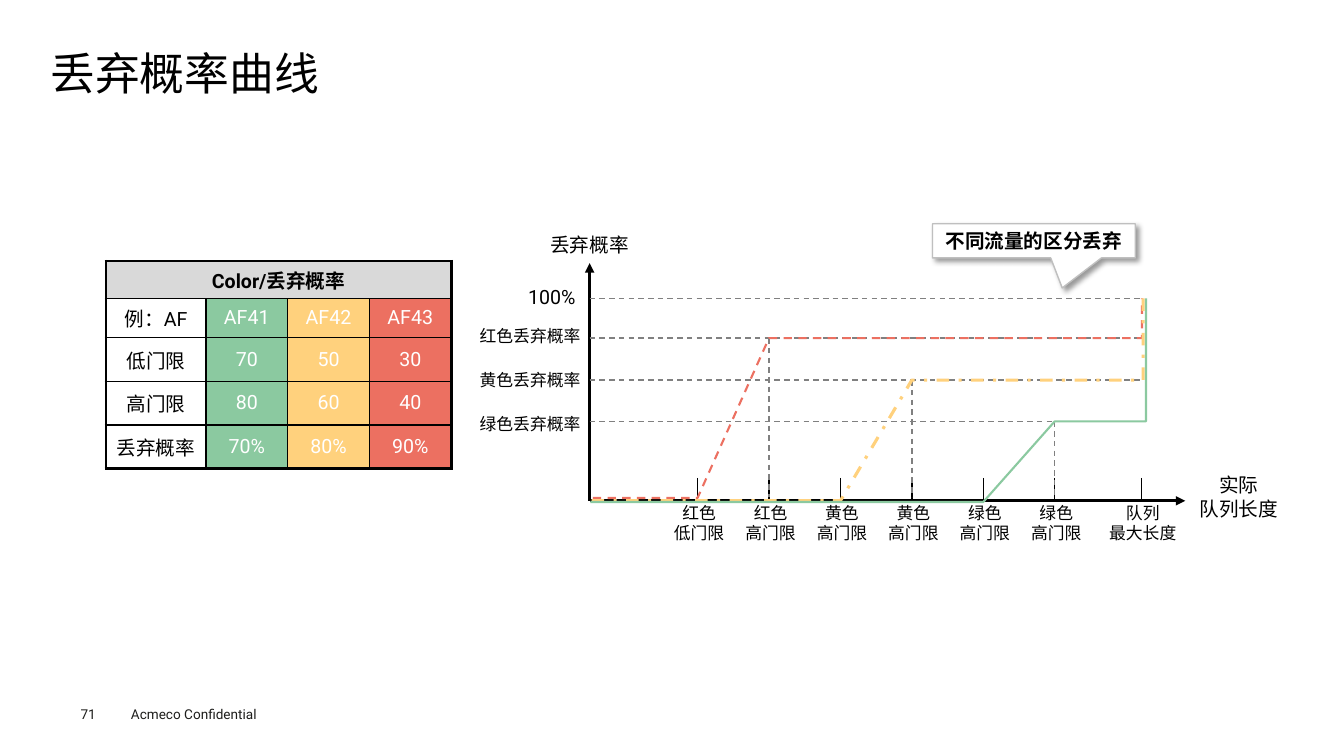
from lxml.etree import SubElement
from pptx import Presentation
from pptx.dml.color import RGBColor
from pptx.enum.dml import MSO_LINE
from pptx.enum.shapes import MSO_CONNECTOR, MSO_SHAPE
from pptx.enum.text import MSO_ANCHOR, PP_ALIGN
from pptx.oxml import parse_xml
from pptx.oxml.ns import nsdecls, qn
from pptx.util import Cm, Pt

BLACK = RGBColor(0x00, 0x00, 0x00)
WHITE = RGBColor(0xFF, 0xFF, 0xFF)
INK = RGBColor(0x1D, 0x1D, 0x1B)
GREY = RGBColor(0x80, 0x80, 0x80)
SILVER = RGBColor(0xBF, 0xBF, 0xBF)
HEADER = RGBColor(0xD9, 0xD9, 0xD9)
GREEN = RGBColor(0x8B, 0xC9, 0xA0)
YELLOW = RGBColor(0xFF, 0xD1, 0x7D)
RED = RGBColor(0xEC, 0x70, 0x61)


def set_text(tf, text, size, color=BLACK, bold=False, align=PP_ALIGN.CENTER):
    """Fill a text frame without insets, one paragraph per line of text."""
    tf.word_wrap = True
    tf.vertical_anchor = MSO_ANCHOR.MIDDLE
    tf.margin_left = tf.margin_right = tf.margin_top = tf.margin_bottom = 0
    tf.text = text
    for p in tf.paragraphs:
        p.alignment = align
        p.font.name = "Roboto"
        p.font.size = Pt(size)
        p.font.bold = bold
        p.font.color.rgb = color


def add_line(x1, y1, x2, y2, color=BLACK, width=1, dash=None):
    line = s.shapes.add_connector(MSO_CONNECTOR.STRAIGHT, Cm(x1), Cm(y1), Cm(x2), Cm(y2))
    line.line.color.rgb = color
    line.line.width = Pt(width)
    line.line.dash_style = dash
    SubElement(line._element.spPr, qn("a:effectLst"))
    return line


prs = Presentation()
prs.slide_width, prs.slide_height = Cm(33.87), Cm(19.05)
s = prs.slides.add_slide(prs.slide_layouts[5])

# Title and footer
title = s.shapes.title
title.left, title.top, title.width, title.height = Cm(1.27), Cm(1.24), Cm(31.27), Cm(1.35)
set_text(title.text_frame, "丢弃概率曲线", 32, align=PP_ALIGN.LEFT)
title.text_frame.paragraphs[0].line_spacing = 0.9

for text, left, width in [("71", 2.03, 1.2), ("Acmeco Confidential", 3.3, 4.5)]:
    box = s.shapes.add_textbox(Cm(left), Cm(17.78), Cm(width), Cm(0.41))
    set_text(box.text_frame, text, 9.7, INK, align=PP_ALIGN.LEFT)

# Threshold table
rows = [
    ["Color/丢弃概率", "", "", ""],
    ["例：AF", "AF41", "AF42", "AF43"],
    ["低门限", "70", "50", "30"],
    ["高门限", "80", "60", "40"],
    ["丢弃概率", "70%", "80%", "90%"],
]
col_widths = [2.52, 2.06, 2.06, 2.06]
row_heights = [0.95, 0.98, 1.1, 1.1, 1.1]
table = s.shapes.add_table(5, 4, Cm(2.67), Cm(6.58), Cm(sum(col_widths)),
                           Cm(sum(row_heights))).table
table.first_row = table.horz_banding = False
for col, width in zip(table.columns, col_widths):
    col.width = Cm(width)
for row, height in zip(table.rows, row_heights):
    row.height = Cm(height)
table.cell(0, 0).merge(table.cell(0, 3))

for i, row in enumerate(rows):
    for j, text in enumerate(row):
        cell = table.cell(i, j)
        outer_edges = {"L": j == 0 or i == 0, "R": j == 3 or i == 0, "T": i == 0, "B": i == 4}
        for side, outer in outer_edges.items():
            cell._tc.get_or_add_tcPr().append(parse_xml(
                f'<a:ln{side} {nsdecls("a")} w="{Pt(2.25 if outer else 1)}">'
                f'<a:solidFill><a:srgbClr val="{BLACK}"/></a:solidFill></a:ln{side}>'))
        fill = HEADER if i == 0 else [None, GREEN, YELLOW, RED][j]
        if fill:
            cell.fill.solid()
            cell.fill.fore_color.rgb = fill
        else:
            cell.fill.background()
        if text:
            set_text(cell.text_frame, text, 14, BLACK if j == 0 else WHITE, bold=i == 0)
            cell.margin_left = cell.margin_right = cell.margin_top = cell.margin_bottom = 0
            cell.vertical_anchor = MSO_ANCHOR.MIDDLE

# Axes, grid and ticks
X0, Y0 = 14.86, 12.62
X_MAX = 28.76
FULL, RED_Y, YELLOW_Y, GREEN_Y = 7.52, 8.52, 9.58, 10.62
ticks = [17.58 + 1.8 * i for i in range(6)] + [X_MAX]

for x, y in [(X0, 6.63), (29.87, Y0)]:
    axis = add_line(X0, Y0, x, y, width=2.25)
    SubElement(axis.line._get_or_add_ln(), qn("a:tailEnd"), type="triangle")
for y in (FULL, RED_Y, YELLOW_Y, GREEN_Y):
    add_line(X0, y, X_MAX, y, GREY, dash=MSO_LINE.DASH)
for x in ticks:
    add_line(x, 12.04, x, Y0)
for x, y in zip(ticks[1::2], (RED_Y, YELLOW_Y, GREEN_Y)):
    add_line(x, y, x, 12.52, GREY, dash=MSO_LINE.DASH)

# Labels: text, centre x, centre y, size
labels = [
    ("丢弃概率", X0, 6.17, 14),
    ("实际\n队列长度", 31.22, 12.52, 14),
    ("100%", 13.91, 7.47, 14),
    ("红色丢弃概率", 13.36, 8.47, 12),
    ("黄色丢弃概率", 13.36, 9.56, 12),
    ("绿色丢弃概率", 13.36, 10.68, 12),
]
tick_names = ["红色\n低门限", "红色\n高门限", "黄色\n高门限", "黄色\n高门限",
              "绿色\n高门限", "绿色\n高门限", "队列\n最大长度"]
labels += [(name, x + 0.04, 13.18, 12) for name, x in zip(tick_names, ticks)]
for text, x, y, size in labels:
    box = s.shapes.add_textbox(Cm(x - 1.6), Cm(y - 0.5), Cm(3.2), Cm(1))
    set_text(box.text_frame, text, size)

# Drop curves: colour, width, dash, start x, base y, low tick, plateau y, end x
curves = [
    (RED, 1.5, MSO_LINE.DASH, 14.94, 12.55, 0, RED_Y, 28.78),
    (YELLOW, 2.25, MSO_LINE.DASH_DOT, 14.91, 12.62, 2, YELLOW_Y, 28.81),
    (GREEN, 1.5, None, 14.88, 12.65, 4, GREEN_Y, 28.88),
]
for color, width, dash, start, base, low, plateau, end in curves:
    builder = s.shapes.build_freeform(Cm(start), Cm(base))
    points = [(ticks[low], base), (ticks[low + 1], plateau), (end, plateau), (end, FULL)]
    builder.add_line_segments([(Cm(x), Cm(y)) for x, y in points], close=False)
    curve = builder.convert_to_shape()
    curve.shadow.inherit = False
    curve.fill.background()
    curve.line.color.rgb = color
    curve.line.width = Pt(width)
    curve.line.dash_style = dash

# Callout
callout = s.shapes.add_shape(MSO_SHAPE.RECTANGULAR_CALLOUT, Cm(23.5), Cm(5.64), Cm(5.11), Cm(0.86))
callout.adjustments[0], callout.adjustments[1] = 0.14, 1.38
callout.fill.solid()
callout.fill.fore_color.rgb = WHITE
callout.line.color.rgb = SILVER
callout.line.width = Pt(1)
callout.shadow.inherit = False
callout._element.spPr.find(qn("a:effectLst")).append(parse_xml(
    f'<a:outerShdw {nsdecls("a")} blurRad="{Pt(4)}" dist="{Pt(3)}" dir="2700000" algn="tl" '
    f'rotWithShape="0"><a:srgbClr val="{BLACK}"><a:alpha val="40000"/></a:srgbClr></a:outerShdw>'))
set_text(callout.text_frame, "不同流量的区分丢弃", 14, bold=True)

prs.save("out.pptx")
